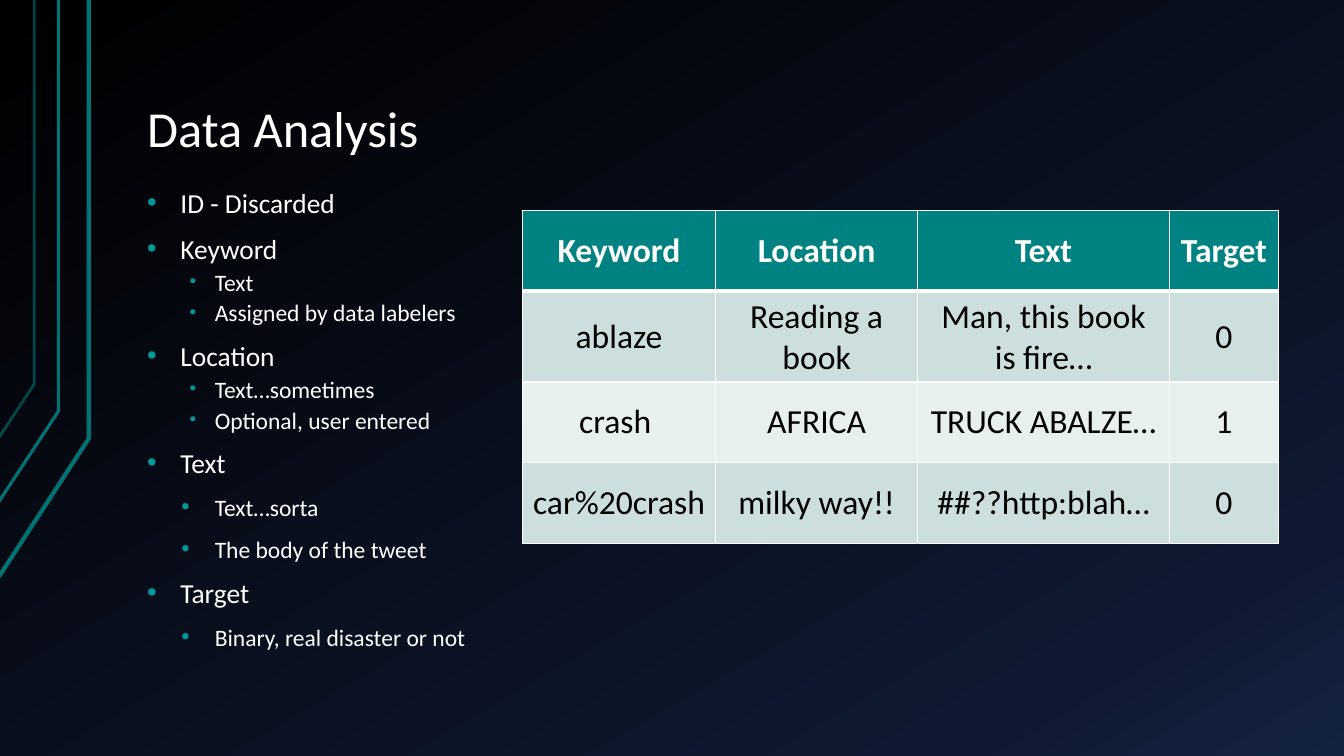
"""Build the Data Analysis slide: a field outline beside a table of sample tweets."""
import pptx
import pptx.util
import pptx.dml.color
import pptx.enum.text
import pptx.oxml
import pptx.oxml.ns
import copy

Inches = pptx.util.Inches
Pt = pptx.util.Pt
RGB = pptx.dml.color.RGBColor.from_string

TITLE = "Data Analysis"
OUTLINE = [
    ("field", "ID - Discarded"),
    ("field", "Keyword"),
    ("detail", "Text"),
    ("detail", "Assigned by data labelers"),
    ("field", "Location"),
    ("detail", "Text…sometimes"),
    ("detail", "Optional, user entered"),
    ("field", "Text"),
    ("loose detail", "Text…sorta"),
    ("loose detail", "The body of the tweet"),
    ("field", "Target"),
    ("loose detail", "Binary, real disaster or not"),
]
SAMPLES = [
    ("Keyword", "Location", "Text", "Target"),
    ("ablaze", "Reading a book", "Man, this book is fire…", "0"),
    ("crash ", "AFRICA", "TRUCK ABALZE…", "1"),
    ("car%20crash", "milky way!!", "##??http:blah…", "0"),
]
COLUMN_WIDTHS = (1.92, 2, 2.5, 1.08)
ROW_HEIGHT = 0.8
RAILS = [
    {"points": [(-0.01, 5.72), (0.88, 4.35), (0.88, 0)], "width": 3, "opacity": 100},
    {"points": [(-0.02, 4.99), (0.58, 4.08), (0.58, 0)], "width": 2.25, "opacity": 100},
    {"points": [(-0.01, 4.34), (0.34, 3.81), (0.34, 0)], "width": 2, "opacity": 60},
]
THEME = {
    "font": "Calibri",
    "white": "FFFFFF",
    "black": "000000",
    "rail": "007373",
    "bullet": "009999",
    "header": "008282",
    "bands": ("CCDEDE", "E7EFEF"),
    "backdrop": [(0, "000000"), (0.85, "0F1931"), (1, "142242")],
    "title size": 36,
    "table size": 24,
}
LEVELS = {
    "field": {"level": 0, "size": 19.6, "before": 16, "left": 0.33, "hang": 0.33, "bullet": 100},
    "detail": {"level": 1, "size": 16.8, "before": 8, "left": 0.67, "hang": 0.25, "bullet": 80},
    "loose detail": {"level": 1, "size": 16.8, "before": 16, "left": 0.67, "hang": 0.33, "bullet": 100},
}


def apply(target, values):
    for name, value in values.items():
        setattr(target, name, value)


def element(markup):
    tag, rest = markup.split(" ", 1)
    return pptx.oxml.parse_xml(f"<{tag} {pptx.oxml.ns.nsdecls('a')} {rest}")


def write(para, text, size, color="white", bold=False):
    span = para.add_run()
    span.text = text
    apply(span.font, {"name": THEME["font"], "size": Pt(size), "bold": bold})
    span.font.color.rgb = RGB(THEME[color])


def paint_backdrop(page):
    fill = page.background.fill
    fill.gradient()
    fill.gradient_angle = 300
    stops = fill._fill._gradFill.gsLst
    stops.append(copy.deepcopy(stops[-1]))
    for stop, (position, color) in zip(fill.gradient_stops, THEME["backdrop"]):
        stop.position = position
        stop.color.rgb = RGB(color)


def draw_rail(page, rail):
    start, *rest = [(Inches(x), Inches(y)) for x, y in rail["points"]]
    builder = page.shapes.build_freeform(*start)
    builder.add_line_segments(rest, close=False)
    shape = builder.convert_to_shape()
    shape.shadow.inherit = False
    shape.fill.background()
    shape.line.width = Pt(rail["width"])
    shape.line.color.rgb = RGB(THEME["rail"])
    if rail["opacity"] < 100:
        color = shape.line.fill._xPr.find(".//" + pptx.oxml.ns.qn("a:srgbClr"))
        color.append(element(f'a:alpha val="{rail["opacity"] * 1000}"/>'))


def add_text_box(page, place, anchor):
    frame = page.shapes.add_textbox(*map(Inches, place)).text_frame
    apply(frame, {
        "word_wrap": True, "vertical_anchor": anchor,
        "margin_left": Inches(0.13), "margin_right": Inches(0.13),
        "margin_top": Inches(0.07), "margin_bottom": Inches(0.07),
    })
    return frame


def write_outline(frame):
    for index, (kind, text) in enumerate(OUTLINE):
        para = frame.add_paragraph() if index else frame.paragraphs[0]
        style = LEVELS[kind]
        apply(para, {"level": style["level"], "line_spacing": 0.7,
                     "space_before": Pt(style["before"])})
        properties = para._p.get_or_add_pPr()
        properties.set("marL", str(Inches(style["left"])))
        properties.set("indent", str(-Inches(style["hang"])))
        for markup in (
            f'a:buClr ><a:srgbClr val="{THEME["bullet"]}"/></a:buClr>',
            f'a:buSzPct val="{style["bullet"] * 1000}"/>',
            'a:buFont typeface="Arial"/>',
            'a:buChar char="•"/>',
        ):
            properties.append(element(markup))
        write(para, text, style["size"])


def format_cell(cell, row, text):
    is_header = row == 0
    widths = {"lnL": 1, "lnR": 1, "lnT": 3 if row == 1 else 1, "lnB": 3 if is_header else 1}
    properties = cell._tc.get_or_add_tcPr()
    for side, width in widths.items():
        properties.append(element(
            f'a:{side} w="{Pt(width)}"><a:solidFill><a:srgbClr val="{THEME["white"]}"/>'
            f'</a:solidFill></a:{side}>'))
    cell.fill.solid()
    cell.fill.fore_color.rgb = RGB(THEME["header"] if is_header else THEME["bands"][(row - 1) % 2])
    cell.vertical_anchor = pptx.enum.text.MSO_ANCHOR.MIDDLE
    para = cell.text_frame.paragraphs[0]
    para.alignment = pptx.enum.text.PP_ALIGN.CENTER
    write(para, text, THEME["table size"], "white" if is_header else "black", is_header)


def add_samples(page):
    place = (5.18, 2.09, sum(COLUMN_WIDTHS), ROW_HEIGHT * len(SAMPLES))
    table = page.shapes.add_table(len(SAMPLES), len(COLUMN_WIDTHS), *map(Inches, place)).table
    for column, width in zip(table.columns, COLUMN_WIDTHS):
        column.width = Inches(width)
    for row, texts in enumerate(SAMPLES):
        table.rows[row].height = Inches(ROW_HEIGHT)
        for column, text in enumerate(texts):
            format_cell(table.cell(row, column), row, text)


def main():
    deck = pptx.Presentation()
    apply(deck, {"slide_width": Inches(13.33), "slide_height": Inches(7.5)})
    page = deck.slides.add_slide(deck.slide_layouts[6])
    paint_backdrop(page)
    for rail in RAILS:
        draw_rail(page, rail)
    anchors = pptx.enum.text.MSO_ANCHOR
    heading = add_text_box(page, (1.33, 0.3, 11.33, 1.34), anchors.BOTTOM).paragraphs[0]
    heading.line_spacing = 0.9
    write(heading, TITLE, THEME["title size"])
    write_outline(add_text_box(page, (1.33, 1.87, 5.55, 4.88), anchors.TOP))
    add_samples(page)
    deck.save("out.pptx")


if __name__ == "__main__":
    main()
